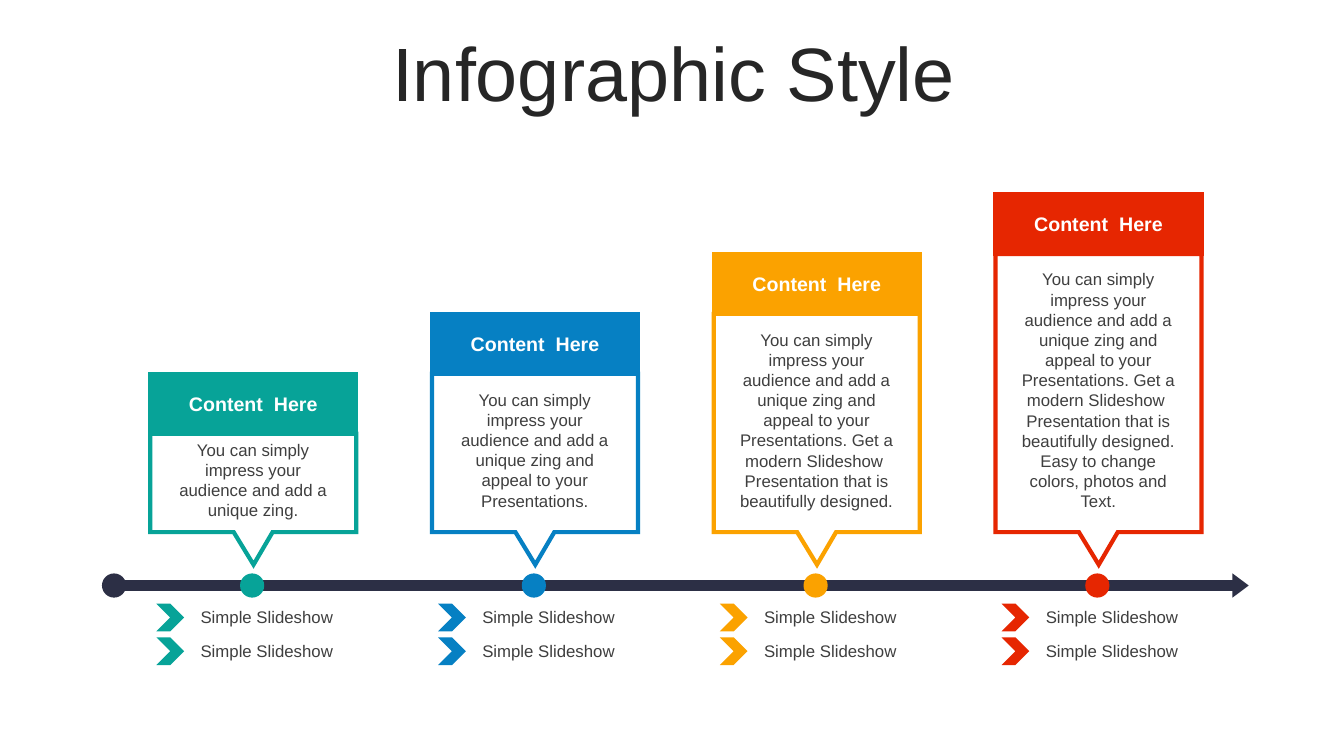
"""Build a four-step timeline slide with callouts of rising height."""
import lxml.etree
import pptx
import pptx.dml.color
import pptx.enum.shapes
import pptx.enum.text
import pptx.oxml.ns
import pptx.util

Cm = pptx.util.Cm
Pt = pptx.util.Pt
KIND = pptx.enum.shapes.MSO_SHAPE
ALIGN = pptx.enum.text.PP_ALIGN
ANCHOR = pptx.enum.text.MSO_ANCHOR
FIT = pptx.enum.text.MSO_AUTO_SIZE

NAVY = "2C2F45"
TITLE = {"size": Pt(54), "name": "Arial", "bold": False}
HEAD = {"size": Pt(14), "name": "Arial", "bold": True}
BODY = {"size": Pt(12), "name": "Arial", "bold": False}
FRAME = {"word_wrap": True, "auto_size": FIT.NONE, "vertical_anchor": ANCHOR.MIDDLE}

LEFT, PITCH, WIDTH = 3.79, 7.1, 5.19
TOP, RISE, HEAD_H = 9.42, 1.51, 1.51
BASE, TIP = 13.41, 14.23
AXIS, DOT = 14.45, 0.61

OPEN = "You can simply impress your audience and add a unique zing"
MORE = OPEN + " and appeal to your Presentations."
LONG = MORE + " Get a modern Slideshow  Presentation that is beautifully designed."
STEPS = [
    ("07A398", OPEN + "."),
    ("0680C3", MORE),
    ("FBA200", LONG),
    ("E62601", LONG + " Easy to change colors, photos and Text."),
]


def apply(item, values):
    """Set each named attribute on the item."""
    for name, value in values.items():
        setattr(item, name, value)


def color(text):
    """Turn a hex string into a colour."""
    return pptx.dml.color.RGBColor.from_string(text)


def write(shape, text, style, hue):
    """Write one centred paragraph into a shape."""
    frame = shape.text_frame
    apply(frame, FRAME)
    frame.text = text
    para = frame.paragraphs[0]
    para.alignment = ALIGN.CENTER
    apply(para.font, style)
    para.font.color.rgb = color(hue)
    return para


def border(shape, hue):
    """Give a shape a sharp-cornered outline."""
    shape.shadow.inherit = False
    shape.line.color.rgb = color(hue)
    shape.line.width = Pt(3)
    line = shape._element.spPr.find(pptx.oxml.ns.qn("a:ln"))
    lxml.etree.SubElement(line, pptx.oxml.ns.qn("a:miter"), lim="800000")


def solid(slide, kind, box, hue):
    """Add a filled preset shape with no outline."""
    shape = slide.shapes.add_shape(kind, *map(Cm, box))
    shape.shadow.inherit = False
    shape.fill.solid()
    shape.fill.fore_color.rgb = color(hue)
    shape.line.fill.background()
    return shape


def label(slide, box, text):
    """Add a box of body text."""
    shape = slide.shapes.add_textbox(*map(Cm, box))
    write(shape, text, BODY, "3F3F3F")


def callout(slide, left, top, hue):
    """Draw the open frame that points down to the axis."""
    right = left + WIDTH
    points = [(right, top), (right, BASE), (left + 3.08, BASE),
              (left + 2.6, TIP), (left + 2.1, BASE), (left, BASE)]
    pen = slide.shapes.build_freeform(Cm(left), Cm(top))
    pen.add_line_segments([(Cm(x), Cm(y)) for x, y in points], close=True)
    shape = pen.convert_to_shape()
    shape.fill.background()
    border(shape, hue)


def axis(slide):
    """Draw the time arrow and its starting dot."""
    arrow = solid(slide, KIND.RIGHT_ARROW, (3.07, AXIS, 28.4, DOT), NAVY)
    arrow.adjustments[0] = 0.45
    arrow.adjustments[1] = 0.67
    solid(slide, KIND.OVAL, (2.57, AXIS, DOT, DOT), NAVY)


def step(slide, index, hue, text):
    """Draw one callout with its dot and two marked labels."""
    left = LEFT + index * PITCH
    top = TOP - index * RISE
    floor = top + HEAD_H
    callout(slide, left, floor, hue)
    head = solid(slide, KIND.RECTANGLE, (left, top, WIDTH, HEAD_H), hue)
    border(head, hue)
    write(head, "Content  Here", HEAD, "FFFFFF")
    label(slide, (left + 0.38, floor, 4.42, BASE - 0.15 - floor), text)
    solid(slide, KIND.OVAL, (left + 2.26, AXIS, DOT, DOT), hue)
    for row in range(2):
        y = 15.21 + row * 0.85
        solid(slide, KIND.CHEVRON, (left + 0.15, y, 0.7, 0.7), hue)
        label(slide, (left + 0.84, y - 0.04, 4.19, 0.76), "Simple Slideshow")


def main():
    """Build and save the slide."""
    deck = pptx.Presentation()
    apply(deck, {"slide_width": Cm(33.87), "slide_height": Cm(19.05)})
    slide = deck.slides.add_slide(deck.slide_layouts[5])
    title = slide.shapes.title
    apply(title, {"left": Cm(0.9), "top": Cm(0.93),
                  "width": Cm(32.15), "height": Cm(2)})
    write(title, "Infographic Style", TITLE, "262626").line_spacing = 0.9
    axis(slide)
    for index, (hue, text) in enumerate(STEPS):
        step(slide, index, hue, text)
    deck.save("out.pptx")


if __name__ == "__main__":
    main()
